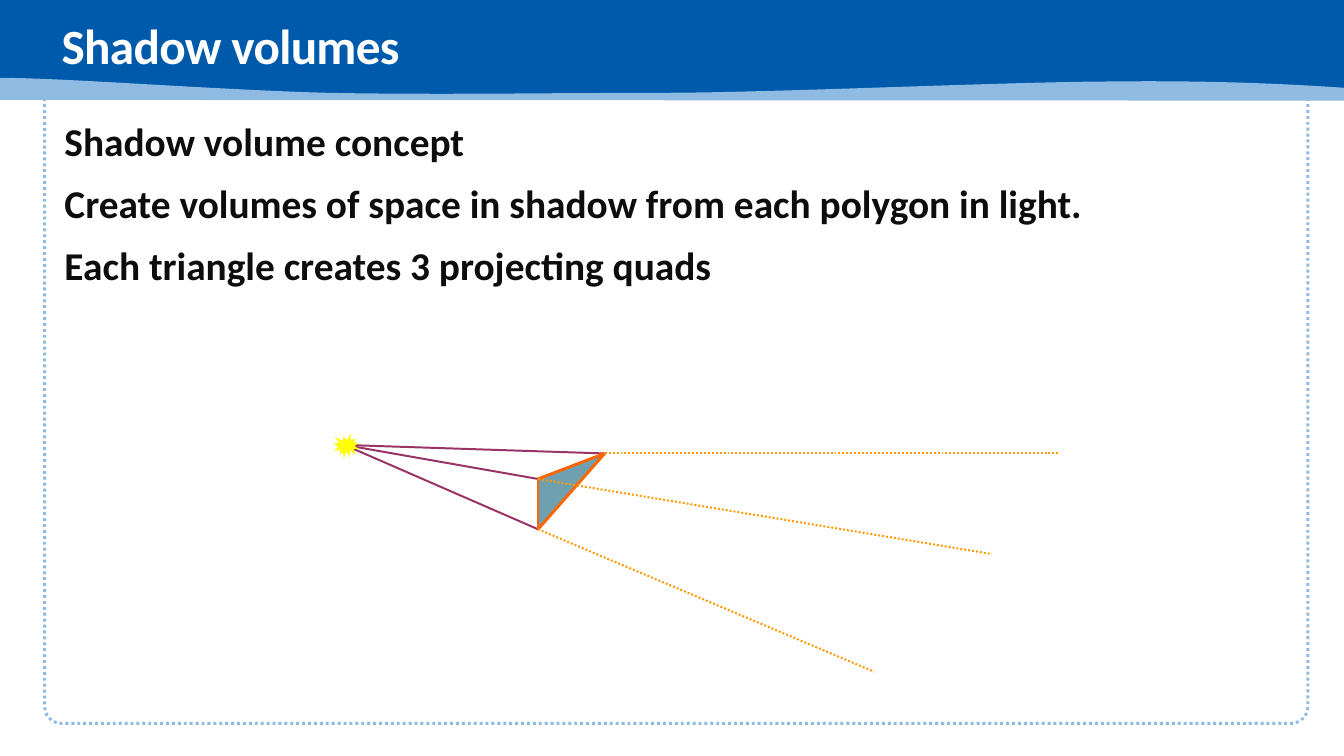
from lxml import etree
from pptx import Presentation
from pptx.dml.color import RGBColor
from pptx.enum.dml import MSO_LINE
from pptx.enum.shapes import MSO_CONNECTOR, MSO_SHAPE
from pptx.enum.text import MSO_ANCHOR, PP_ALIGN
from pptx.oxml.ns import qn
from pptx.util import Inches, Pt

RECT = MSO_SHAPE.RECTANGLE
ROUND_RECT = MSO_SHAPE.ROUNDED_RECTANGLE
BURST = MSO_SHAPE.EXPLOSION1
STRAIGHT = MSO_CONNECTOR.STRAIGHT
DOTTED = MSO_LINE.ROUND_DOT
MIDDLE, TOP = MSO_ANCHOR.MIDDLE, MSO_ANCHOR.TOP
LEFT = PP_ALIGN.LEFT

BLUE = RGBColor(0x00, 0x5A, 0xAB)
LIGHT_BLUE = RGBColor(0x8F, 0xBA, 0xE1)
WHITE = RGBColor(0xFF, 0xFF, 0xFF)
BLACK = RGBColor(0x0D, 0x0D, 0x0D)
TEAL = RGBColor(0x6E, 0xA0, 0xB0)
ORANGE = RGBColor(0xFF, 0x66, 0x00)
AMBER = RGBColor(0xFF, 0x99, 0x00)
PLUM = RGBColor(0x99, 0x33, 0x66)
YELLOW = RGBColor(0xFF, 0xFF, 0x00)


def write(tf, lines, size, color, line_spacing, before=0, after=0, tracking=0):
    for i, text in enumerate(lines):
        p = tf.paragraphs[0] if i == 0 else tf.add_paragraph()
        p.alignment = LEFT
        p.line_spacing = line_spacing
        p.space_before = Pt(before if i else 0)
        p.space_after = Pt(after)
        r = p.add_run()
        r.text = text
        r.font.name = "Calibri"
        r.font.size = Pt(size)
        r.font.bold = True
        r.font.color.rgb = color
        if tracking:
            r.font._element.set("spc", str(round(tracking * 100)))


def bezier(points, steps=16):
    for i in range(1, steps + 1):
        t = i / steps
        weights = ((1 - t) ** 3, 3 * t * (1 - t) ** 2, 3 * t * t * (1 - t), t ** 3)
        yield tuple(sum(w * pt[axis] for w, pt in zip(weights, points)) for axis in (0, 1))


class Painter:
    def __init__(self, slide):
        self.slide = slide
        self.shapes = slide.shapes

    def finish(self, sp, fill=None, line=None, width=0, dash=None):
        sp.shadow.inherit = False
        if fill is None:
            sp.fill.background()
        else:
            sp.fill.solid()
            sp.fill.fore_color.rgb = fill
        if line is None:
            sp.line.fill.background()
        else:
            sp.line.color.rgb = line
            sp.line.width = Pt(width)
            sp.line.dash_style = dash
        return sp

    def shape(self, kind, box, **style):
        return self.finish(self.shapes.add_shape(kind, *map(Inches, box)), **style)

    def outline(self, points, **style):
        start, *rest = [(Inches(x), Inches(y)) for x, y in points]
        builder = self.shapes.build_freeform(*start)
        builder.add_line_segments(rest, close=True)
        return self.finish(builder.convert_to_shape(), **style)

    def line(self, start, end, color, width, dash=None):
        c = self.shapes.add_connector(STRAIGHT, *map(Inches, start + end))
        c.line.color.rgb = color
        c.line.width = Pt(width)
        if dash:
            c.line.dash_style = dash
        etree.SubElement(c._element.spPr, qn("a:effectLst"))

    def text(self, box, lines, anchor=TOP, inset=0.1, **style):
        tf = self.shapes.add_textbox(*map(Inches, box)).text_frame
        tf.word_wrap = True
        tf.vertical_anchor = anchor
        tf.margin_left = Inches(inset)
        write(tf, lines, **style)


def main():
    prs = Presentation()
    prs.slide_width, prs.slide_height = Inches(18.96), Inches(10.67)
    s = Painter(prs.slides.add_slide(prs.slide_layouts[6]))

    frame = s.shape(ROUND_RECT, (0.63, 0.29, 17.82, 9.92), line=LIGHT_BLUE, width=3, dash=DOTTED)
    frame.adjustments[0] = 0.024
    s.shape(RECT, (0, 0, 18.96, 1.4), fill=BLUE)

    crest = [(18.97, 1.24),
             (18.41, 1.2), (17.24, 1.13), (15.63, 1.15),
             (14.03, 1.16), (10.87, 1.31), (9.31, 1.31),
             (7.75, 1.31), (6.18, 1.34), (4.62, 1.31),
             (3.07, 1.27), (0.78, 1.09), (0, 1.1)]
    wave = [(-0.01, 1.41), (18.97, 1.42), crest[0]]
    for i in range(0, len(crest) - 1, 3):
        wave.extend(bezier(crest[i:i + 4]))
    s.outline(wave, fill=LIGHT_BLUE)

    s.text((0.77, 0.14, 17.54, 1.11), ["Shadow volumes"], anchor=MIDDLE,
           size=50, color=WHITE, line_spacing=0.85, tracking=-0.7)
    s.text((0.77, 1.68, 17.54, 8.53),
           ["Shadow volume concept",
            "Create volumes of space in shadow from each polygon in light.",
            "Each triangle creates 3 projecting quads"],
           inset=0.14, size=40, color=BLACK, line_spacing=0.9, before=17.1, after=2.8)

    light = (4.86, 6.28)
    triangle = [(7.59, 6.76), (8.53, 6.4), (7.59, 7.47)]
    shadow_ends = [(13.99, 7.82), (14.93, 6.4), (12.33, 9.48)]
    s.outline(triangle, fill=TEAL)
    for corner in triangle:
        s.line(light, corner, PLUM, 2)
    for start, end in zip(triangle, triangle[1:] + triangle[:1]):
        s.line(start, end, ORANGE, 3)
    for corner, end in zip(triangle, shadow_ends):
        s.line(corner, end, AMBER, 2, DOTTED)
    s.shape(BURST, (4.71, 6.12, 0.36, 0.36), fill=YELLOW)

    prs.save("out.pptx")


if __name__ == "__main__":
    main()
